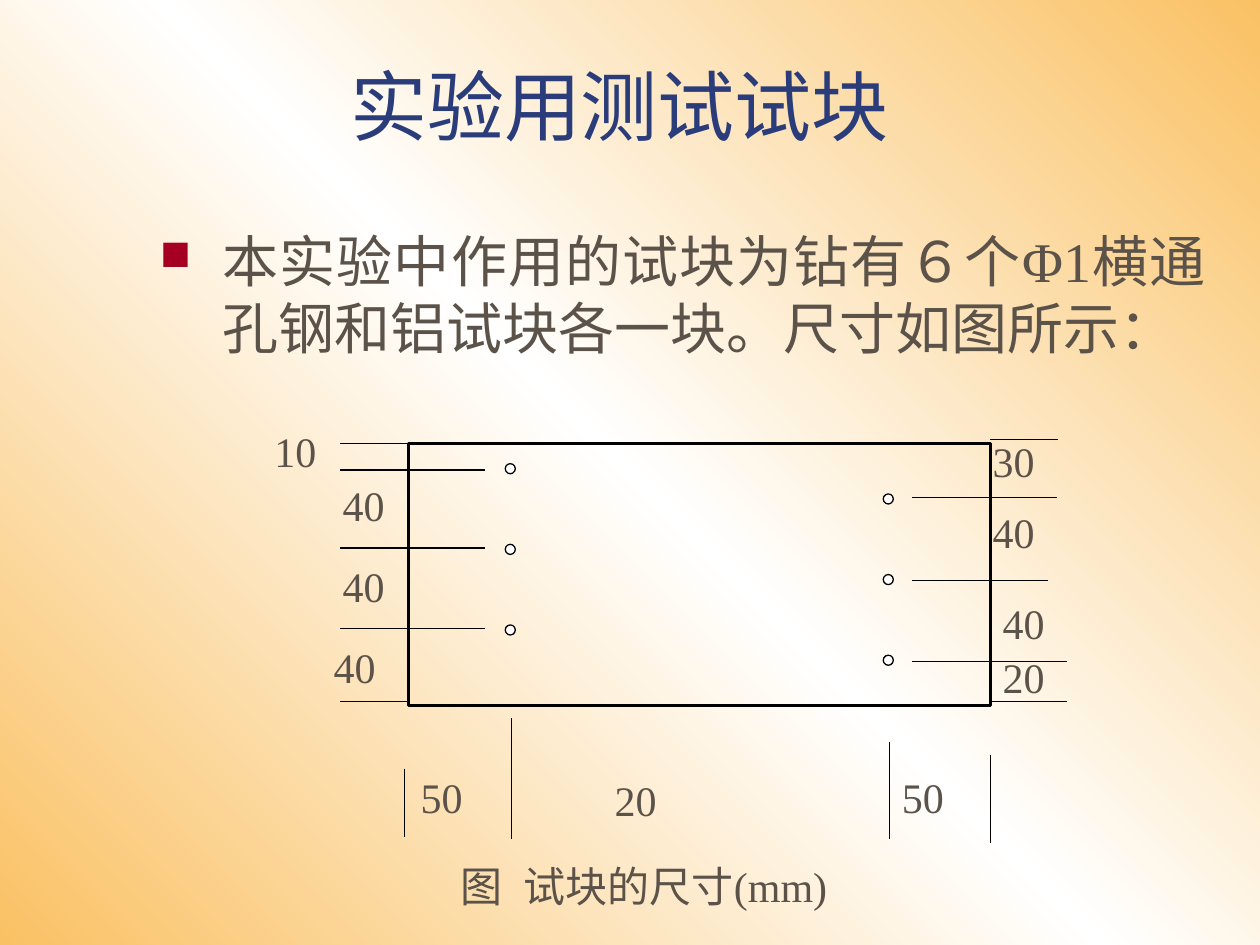
from copy import deepcopy

from lxml.etree import SubElement
from pptx import Presentation
from pptx.dml.color import RGBColor
from pptx.enum.shapes import MSO_CONNECTOR, MSO_SHAPE
from pptx.enum.text import MSO_ANCHOR, PP_ALIGN
from pptx.oxml.ns import qn
from pptx.util import Inches, Pt

ORANGE = RGBColor(0xFA, 0xC1, 0x64)
WHITE = RGBColor(0xFF, 0xFF, 0xFF)
BLACK = RGBColor(0, 0, 0)
NAVY = RGBColor(0x2A, 0x3D, 0x7A)
BROWN = RGBColor(0x5B, 0x52, 0x49)
FONT = "Times New Roman"

presentation = Presentation()
presentation.slide_width, presentation.slide_height = Inches(10), Inches(7.5)
slide = presentation.slides.add_slide(presentation.slide_layouts[6])
shapes = slide.shapes

# Square grid of 100 columns by 75 rows
UNIT = presentation.slide_width / 100


def grid(*cells):
    return [round(cell * UNIT) for cell in cells]


def add_text(text, box, size=24, color=BROWN, align=PP_ALIGN.JUSTIFY):
    text_frame = shapes.add_textbox(*grid(*box)).text_frame
    text_frame.word_wrap = True
    text_frame.text = text
    paragraph = text_frame.paragraphs[0]
    paragraph.alignment = align
    font = paragraph.runs[0].font
    font.size, font.name, font.color.rgb = Pt(size), FONT, color
    return text_frame


# Background: white diagonal band between orange corners
fill = slide.background.fill
fill.gradient()
fill.gradient_angle = 225
stop_list = slide.element.xpath(".//a:gsLst")[0]
stop_list.append(deepcopy(stop_list[0]))
for stop, position, color in zip(fill.gradient_stops, (0, 0.5, 1), (ORANGE, WHITE, ORANGE)):
    stop.position, stop.color.rgb = position, color

# Title, indented from the left edge of its box
title = add_text("实验用测试试块", (11.7, 0, 85, 12.5), 44, NAVY, PP_ALIGN.LEFT)
title.vertical_anchor = MSO_ANCHOR.BOTTOM
title.paragraphs[0]._p.get_or_add_pPr().set("marL", str(Inches(1.51)))

# Body with a square bullet
body = add_text("本实验中作用的试块为钻有６个Φ1横通孔钢和铝试块各一块。尺寸如图所示：",
                (11.7, 17.5, 85, 45), 32)
properties = body.paragraphs[0]._p.get_or_add_pPr()
properties.set("marL", str(Inches(0.5)))
properties.set("indent", str(-Inches(0.5)))
bullet_color = SubElement(properties, qn("a:buClr"))
SubElement(bullet_color, qn("a:srgbClr"), val="A50021")
SubElement(properties, qn("a:buSzPct"), val="75000")
SubElement(properties, qn("a:buChar"), char="■")

# Caption, with a tab after its first character
caption = add_text("图\t试块的尺寸(mm)", (35.6, 67.8, 37.8, 5))
tabs = SubElement(caption.paragraphs[0]._p.get_or_add_pPr(), qn("a:tabLst"))
SubElement(tabs, qn("a:tab"), pos=str(Inches(0.5)), algn="l")

# Test block outline
LEFT, TOP, RIGHT, BOTTOM = 32.4, 35.2, 78.6, 56
block = shapes.add_shape(MSO_SHAPE.RECTANGLE, *grid(LEFT, TOP, RIGHT - LEFT, BOTTOM - TOP))
block.shadow.inherit = False
block.fill.background()
block.line.color.rgb, block.line.width = BLACK, Pt(1.5)

# Two columns of three drilled holes
HOLE, HOLE_PITCH = 0.8, 6.4
for hole_left, first_top in ((40.1, 36.8), (70.1, 39.2)):
    for index in range(3):
        hole = shapes.add_shape(MSO_SHAPE.FLOWCHART_CONNECTOR,
                                *grid(hole_left, first_top + index * HOLE_PITCH, HOLE, HOLE))
        hole.shadow.inherit = False
        hole.fill.solid()
        hole.fill.fore_color.rgb = WHITE
        hole.line.color.rgb, hole.line.width = BLACK, Pt(0.75)

# Extension lines: (start, end, row) and (column, start, end)
left_lines = [(LEFT, 27, TOP), (38.5, 27, 37.3), (38.5, 27, 43.5),
              (38.5, 27, 49.9), (LEFT, 27, 55.7)]
right_lines = [(RIGHT, 84, 34.9), (72.4, 83.9, 39.5), (72.4, 83.2, 46.1),
               (72.4, 84.7, 52.5), (RIGHT, 84.7, 55.7)]
bottom_lines = [(32.1, 61, 66.4), (40.6, 57, 66.6), (70.6, 58.9, 66.6), (RIGHT, 59.9, 66.9)]
segments = [(start, row, end, row) for start, end, row in left_lines + right_lines]
segments += [(column, start, column, end) for column, start, end in bottom_lines]
for segment in segments:
    line = shapes.add_connector(MSO_CONNECTOR.STRAIGHT, *grid(*segment))
    line.line.color.rgb, line.line.width = BLACK, Pt(0.75)
    SubElement(line._element.spPr, qn("a:effectLst"))

# Dimension values
dimensions = [
    ("10", (20.8, 33.3, 10.8, 7.5)), ("40", (26.2, 37.6, 6.9, 6.9)),
    ("40", (26.2, 44, 8.5, 6.1)), ("40", (25.5, 50.4, 7.7, 6.4)),
    ("30", (77.8, 34.1, 10, 6.9)), ("40", (77.8, 39.7, 10, 5.1)),
    ("40", (78.6, 46.9, 10, 6.1)), ("20", (78.6, 51.2, 6.9, 5.9)),
    ("50", (32.4, 60.7, 8.2, 6.1)), ("20", (47.8, 61, 12.1, 6.9)),
    ("50", (70.6, 60.7, 9.2, 9.1)),
]
for value, box in dimensions:
    add_text(value, box)

presentation.save("out.pptx")
